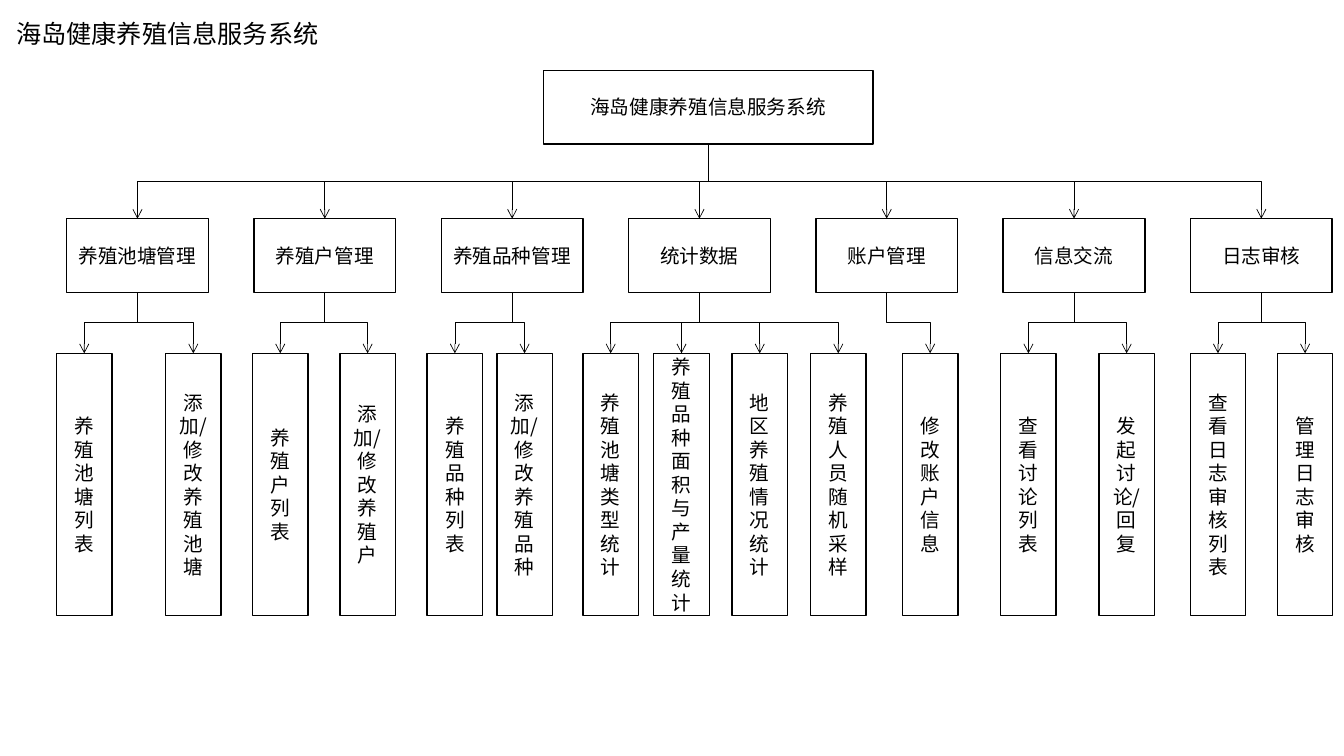
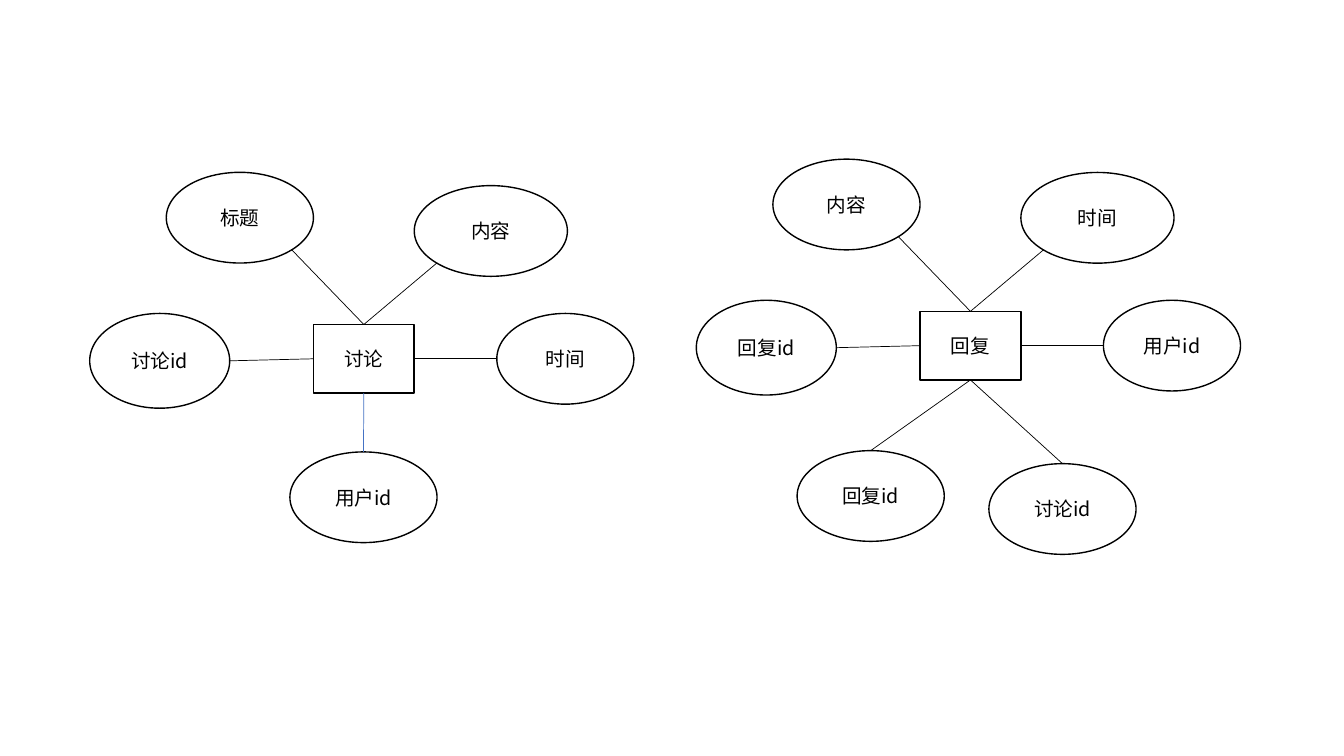
"""Builds two diagram slides for an aquaculture information system."""
from lxml import etree
from pptx import Presentation
from pptx.dml.color import RGBColor
from pptx.enum.shapes import MSO_CONNECTOR, MSO_SHAPE
from pptx.enum.text import MSO_ANCHOR, PP_ALIGN
from pptx.oxml.ns import qn
from pptx.util import Pt

RECT, OVAL = MSO_SHAPE.RECTANGLE, MSO_SHAPE.OVAL
STRAIGHT, ELBOW = MSO_CONNECTOR.STRAIGHT, MSO_CONNECTOR.ELBOW
LEFT, CENTER = PP_ALIGN.LEFT, PP_ALIGN.CENTER
TOP, MIDDLE = MSO_ANCHOR.TOP, MSO_ANCHOR.MIDDLE
TITLE_ONLY, BLANK = 5, 6
BLACK = RGBColor(0x00, 0x00, 0x00)
WHITE = RGBColor(0xFF, 0xFF, 0xFF)
BLUE = RGBColor(0x44, 0x72, 0xC4)
FONT = "Noto Sans CJK SC"


class Deck:
    """Holds the presentation, its style and the current slide."""

    def __init__(self):
        self.prs = Presentation()
        self.prs.slide_width, self.prs.slide_height = Pt(960), Pt(540)
        self.s = None

    def slide(self, layout):
        self.s = self.prs.slides.add_slide(self.prs.slide_layouts[layout])

    def label(self, sp, text, size, align, anchor):
        tf = sp.text_frame
        tf.word_wrap = True
        tf.vertical_anchor = anchor
        p = tf.paragraphs[0]
        p.alignment = align
        r = p.add_run()
        r.text = text
        r.font.size = Pt(size)
        r.font.color.rgb = BLACK
        r.font.name = FONT
        etree.SubElement(r.font._element, qn("a:ea"), typeface=FONT)

    def title(self, text, x, y, w, h):
        sp = self.s.shapes.title
        sp.left, sp.top, sp.width, sp.height = Pt(x), Pt(y), Pt(w), Pt(h)
        self.label(sp, text, 18, LEFT, TOP)

    def node(self, kind, text, x, y, w, h):
        sp = self.s.shapes.add_shape(kind, Pt(x), Pt(y), Pt(w), Pt(h))
        sp.shadow.inherit = False
        sp.fill.solid()
        sp.fill.fore_color.rgb = WHITE
        sp.line.color.rgb = BLACK
        sp.line.width = Pt(1)
        self.label(sp, text, 14, CENTER, MIDDLE)
        return sp

    def point(self, sp, fx, fy):
        return int(sp.left + sp.width * fx), int(sp.top + sp.height * fy)

    def connector(self, kind, begin, end, color=BLACK):
        c = self.s.shapes.add_connector(kind, *begin, *end)
        c.line.color.rgb = color
        c.line.width = Pt(0.5)
        etree.SubElement(c._element.spPr, qn("a:effectLst"))
        return c

    def branch(self, parent, child):
        x1, y1 = self.point(parent, 0.5, 1)
        x2, y2 = self.point(child, 0.5, 0)
        mx, my = (x1 + x2) // 2, (y1 + y2) // 2
        dx, dy = (x1 - x2) // 2, (y2 - y1) // 2
        c = self.connector(ELBOW, (mx - dy, my - dx), (mx + dy, my + dx))
        c._element.spPr.find(qn("a:xfrm")).set("rot", "5400000")
        ln = c._element.spPr.find(qn("a:ln"))
        etree.SubElement(ln, qn("a:tailEnd"), type="arrow")

    def entity(self, name, x, y, attributes):
        box = self.node(RECT, name, x, y, 72, 49)
        for text, (dx, dy, w, h), anchor, touch, color in attributes:
            oval = self.node(OVAL, text, x + dx, y + dy, w, h)
            self.connector(STRAIGHT, self.point(oval, *touch),
                           self.point(box, *anchor), color)


SYSTEM = "海岛健康养殖信息服务系统"
MODULES = [
    ("养殖池塘管理", [("养殖池塘列表", 40.4), ("添加/修改养殖池塘", 118.3)]),
    ("养殖户管理", [("养殖户列表", 180.4), ("添加/修改养殖户", 242.8)]),
    ("养殖品种管理", [("养殖品种列表", 305.1), ("添加/修改养殖品种", 354.9)]),
    ("统计数据", [("养殖池塘类型统计", 416.4), ("养殖品种面积与产量统计", 467),
              ("地区养殖情况统计", 522.9), ("养殖人员随机采样", 579)]),
    ("账户管理", [("修改账户信息", 644.6)]),
    ("信息交流", [("查看讨论列表", 714.8), ("发起讨论/回复", 785)]),
    ("日志审核", [("查看日志审核列表", 850.2), ("管理日志审核", 912.4)]),
]
MODULE_X, MODULE_PITCH = 47.6, 133.8

SLOTS = [
    ((-159.8, -7.9, 100, 67.7), (0, 0.5), (1, 0.5)),
    ((-105.1, -108.7, 105.1, 64.8), (0.5, 0), (0.85, 0.85)),
    ((72, -99.2, 109.4, 64.8), (0.5, 0), (0.15, 0.85)),
    ((131, -7.9, 97.9, 64.8), (1, 0.5), (0, 0.5)),
]


def below(text, dx, dy, color=BLACK):
    return text, (dx, dy, 105.1, 64.8), (0.5, 1), (0.5, 0), color


def around(*names):
    return [(text, *slot, BLACK) for text, slot in zip(names, SLOTS)]


deck = Deck()

deck.slide(TITLE_ONLY)
deck.title(SYSTEM, 4.3, 9.4, 245.5, 28.8)
root = deck.node(RECT, SYSTEM, 388.2, 50.2, 235.4, 52.6)
for i, (name, leaves) in enumerate(MODULES):
    module = deck.node(RECT, name, MODULE_X + i * MODULE_PITCH, 156.2, 101.2, 52.6)
    deck.branch(root, module)
    for text, x in leaves:
        deck.branch(module, deck.node(RECT, text, x, 252.4, 39.6, 187.4))

deck.slide(BLANK)
deck.entity("讨论", 223.9, 231.8, around("讨论id", "标题", "内容", "时间")
            + [below("用户id", -16.8, 91, BLUE)])
deck.entity("回复", 657.2, 222.4, around("回复id", "内容", "时间", "用户id")
            + [below("回复id", -87.8, 99.5), below("讨论id", 49.2, 108.8)])

deck.prs.save("out.pptx")
